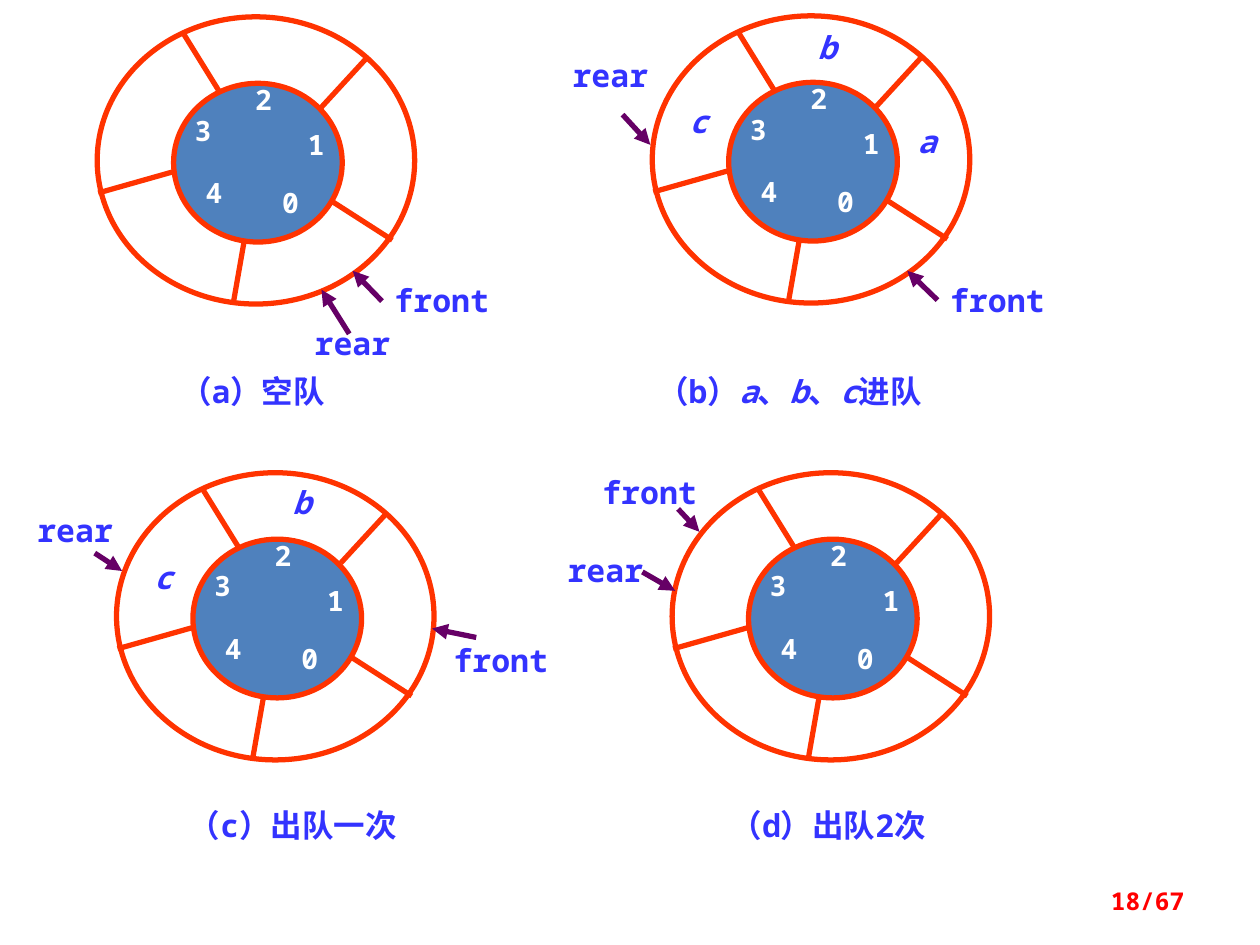
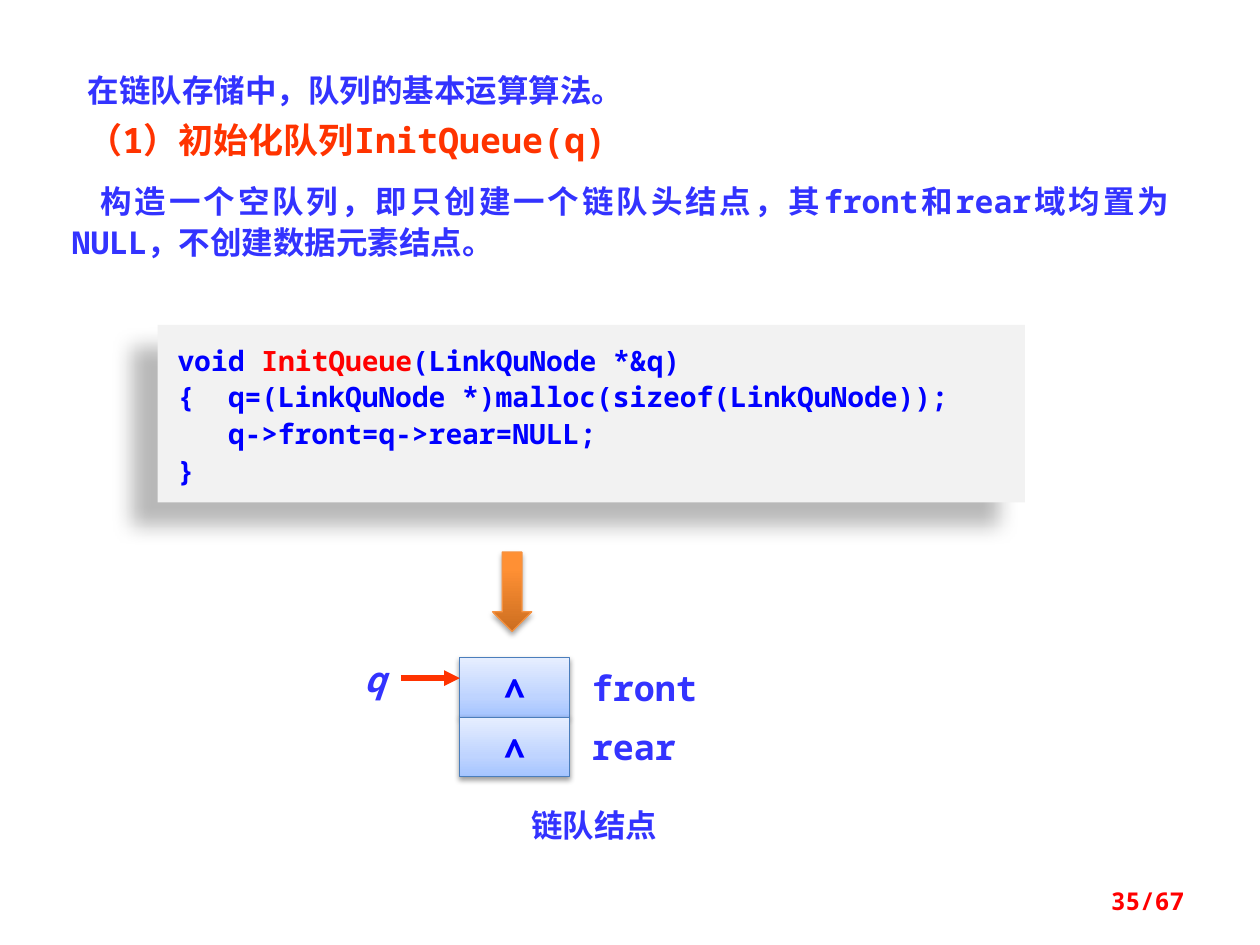
"""Build two slides on circular queues and linked-queue initialisation."""
import pptx
import pptx.dml.color
import pptx.enum.dml
import pptx.enum.shapes
import pptx.enum.text
import pptx.oxml.ns
import pptx.util
from dataclasses import dataclass
from lxml import etree

Cm, Pt = pptx.util.Cm, pptx.util.Pt
RGB = pptx.dml.color.RGBColor.from_string
qn = pptx.oxml.ns.qn
SHAPE = pptx.enum.shapes.MSO_SHAPE
ALIGN = pptx.enum.text.PP_ALIGN
ANCHOR = pptx.enum.text.MSO_ANCHOR


@dataclass(frozen=True)
class Theme:
    mono: str = "Noto Sans Mono"
    cjk: str = "Noto Sans CJK SC"
    text: str = "3333FF"
    accent: str = "FF3300"
    code: str = "0000FF"
    red: str = "FF0000"
    white: str = "FFFFFF"
    hub: str = "4F81BD"
    pointer: str = "660066"
    panel: str = "F2F2F2"
    cell_line: str = "4B7EBC"
    arrow_line: str = "F69240"
    cell_stops: tuple = ((0, "A4C4FF"), (35, "BFD4FF"), (100, "E6EEFF"))
    arrow_stops: tuple = ((0, "CC6E20"), (80, "FF9034"), (100, "FF9136"))
    large: int = 20
    normal: int = 18
    small: int = 16
    page: int = 14
    stroke: float = 3
    thin: float = 0.75


T = Theme()

WHEEL_SIZE = (6.4, 5.79)
HUB = (1.54, 1.34, 3.4, 3.2)
SPOKES = [
    (4.75, 3.73, 5.95, 4.5),
    (4.52, 1.82, 5.44, 0.82),
    (1.74, 0.34, 2.47, 1.52),
    (2.96, 4.53, 2.75, 5.73),
    (0.02, 3.55, 1.54, 3.12),
]
INDEX_SPOTS = [(3.5, 3.41), (4.02, 2.24), (2.96, 1.33), (1.74, 1.94), (1.96, 3.2)]

QUEUES = [
    dict(
        origin=(1.96, 0.34),
        caption=["（a）空队"], caption_box=(2.69, 7.37, 4.8, 1.02),
        labels=[("front", 7.9, 5.66), ("rear", 6.1, 6.53)],
        items=[],
        pointers=[(7.7, 6.07, 7.11, 5.46), (7.04, 6.73, 6.48, 5.84)],
    ),
    dict(
        origin=(13.15, 0.32),
        caption=["（b）", ("a", {"italic": True}), "、", ("b", {"italic": True}),
                 "、", ("c", {"italic": True}), "进队"],
        caption_box=(11.51, 7.37, 8.81, 1.02),
        labels=[("front", 19.1, 5.66), ("rear", 11.3, 1.12)],
        items=[("a", 18.29, 2.46), ("b", 16.28, 0.56), ("c", 13.69, 2.06)],
        pointers=[(18.9, 6.05, 18.29, 5.46), (12.55, 2.31, 13.11, 2.92)],
    ),
    dict(
        origin=(2.35, 9.53),
        caption=["（c）出队一次"], caption_box=(1.5, 16.13, 8.81, 1.02),
        labels=[("front", 9.09, 12.93), ("rear", 0.51, 10.31)],
        items=[("b", 5.69, 9.73), ("c", 2.9, 11.25)],
        pointers=[(9.6, 12.85, 8.71, 12.67), (1.91, 11.15, 2.46, 11.51)],
    ),
    dict(
        origin=(13.55, 9.53),
        caption=["（d）出队2次"], caption_box=(12.29, 16.13, 8.81, 1.02),
        labels=[("front", 12.09, 9.53), ("rear", 11.2, 11.1)],
        items=[],
        pointers=[(12.95, 11.53, 13.61, 11.91), (13.67, 10.26, 14.1, 10.72)],
    ),
]

INTRO = "在链队存储中，队列的基本运算算法。"
HEADING = "（1）初始化队列InitQueue(q)"
DESCRIPTION = "构造一个空队列，即只创建一个链队头结点，其front和rear域均置为NULL，不创建数据元素结点。"
CODE = [
    ["void ", ("InitQueue", {"color": T.red}), "(LinkQuNode *&q)"],
    ["{  q=(LinkQuNode *)malloc(sizeof(LinkQuNode));"],
    ["   q->front=q->rear=NULL;"],
    ["}"],
]
NODE_FIELDS = ["front", "rear"]
NODE_BOX = (9.27, 13.26, 2.21, 1.2)


def add_run(p, text, size, color, italic=False):
    r = p.add_run()
    r.text = text
    r.font.name, r.font.size = T.mono, Pt(size)
    r.font.bold, r.font.italic = True, italic
    r.font.color.rgb = RGB(color)
    etree.SubElement(r.font._element, qn("a:ea"), typeface=T.cjk)


def write(p, runs, size=T.normal, color=T.text, italic=False,
          align=ALIGN.CENTER, spacing=None, before=0, indent=None):
    """Fill one paragraph with runs, each a string or a (string, overrides) pair."""
    if indent is not None:
        pPr = p._p.get_or_add_pPr()
        pPr.set("marL", "0")
        pPr.set("indent", str(int(Cm(indent))))
        etree.SubElement(pPr, qn("a:buNone"))
    p.alignment = align
    p.space_before = Pt(before)
    if spacing:
        p.line_spacing = spacing
    for run in [runs] if isinstance(runs, str) else runs:
        text, changes = (run, {}) if isinstance(run, str) else run
        add_run(p, text, **{"size": size, "color": color, "italic": italic, **changes})


def place(sp, box):
    sp.left, sp.top, sp.width, sp.height = map(Cm, box)


def frame(tf, anchor=ANCHOR.TOP, margins=None, wrap=True):
    tf.auto_size = pptx.enum.text.MSO_AUTO_SIZE.NONE
    tf.word_wrap = wrap
    tf.vertical_anchor = anchor
    if margins is not None:
        tf.margin_left = tf.margin_right = Cm(margins[0])
        tf.margin_top = tf.margin_bottom = Cm(margins[1])
    return tf


def add_text(slide, box, runs, margins=None, anchor=ANCHOR.TOP, **fmt):
    tf = frame(slide.shapes.add_textbox(*map(Cm, box)).text_frame, anchor, margins)
    write(tf.paragraphs[0], runs, **fmt)
    return tf


def add_shape(slide, kind, box, fill=None, line=None, width=T.stroke):
    sp = slide.shapes.add_shape(kind, *map(Cm, box))
    sp.shadow.inherit = False
    if isinstance(fill, tuple):
        sp.fill.gradient()
        sp.fill.gradient_angle = 90
        stops = sp._element.spPr.find(".//" + qn("a:gsLst"))
        for old in list(stops):
            stops.remove(old)
        for pos, color in fill:
            gs = etree.SubElement(stops, qn("a:gs"), pos=str(pos * 1000))
            etree.SubElement(gs, qn("a:srgbClr"), val=color)
    elif fill:
        sp.fill.solid()
        sp.fill.fore_color.rgb = RGB(fill)
    else:
        sp.fill.background()
    if line:
        sp.line.color.rgb = RGB(line)
        sp.line.width = Pt(width)
    else:
        sp.line.fill.background()
    return sp


def add_shadow(sp, alpha, blur, dist, angle):
    effects = sp._element.spPr.find(qn("a:effectLst"))
    shadow = etree.SubElement(
        effects, qn("a:outerShdw"), blurRad=str(int(Pt(blur))),
        dist=str(int(Pt(dist))), dir=str(angle * 60000), rotWithShape="0")
    color = etree.SubElement(shadow, qn("a:srgbClr"), val="000000")
    etree.SubElement(color, qn("a:alpha"), val=str(alpha * 1000))


def add_line(slide, ends, color, arrow=False):
    cx = slide.shapes.add_connector(
        pptx.enum.shapes.MSO_CONNECTOR.STRAIGHT, *map(Cm, ends))
    cx.line.color.rgb = RGB(color)
    cx.line.width = Pt(T.stroke)
    if arrow:
        etree.SubElement(cx.line._get_or_add_ln(), qn("a:tailEnd"), type="triangle")
    etree.SubElement(cx._element.spPr, qn("a:effectLst"))


def add_page_number(slide, number):
    add_text(slide, (18.21, 17.65, 5.92, 1.02), f"{number}/67", size=T.page,
             color=T.red, align=ALIGN.RIGHT, anchor=ANCHOR.MIDDLE)


def draw_queue(slide, origin, caption, caption_box, labels, items, pointers):
    x, y = origin
    hub_x, hub_y, *hub_size = HUB
    add_shape(slide, SHAPE.OVAL, (x + hub_x, y + hub_y, *hub_size), T.hub, T.accent)
    add_shape(slide, SHAPE.OVAL, (x, y, *WHEEL_SIZE), line=T.accent)
    for x1, y1, x2, y2 in SPOKES:
        add_line(slide, (x + x1, y + y1, x + x2, y + y2), T.accent)
    for index, (dx, dy) in enumerate(INDEX_SPOTS):
        add_text(slide, (x + dx, y + dy, 0.79, 0.69), str(index),
                 margins=(0, 0), size=T.small, color=T.white)
    for text, left, top in labels:
        add_text(slide, (left, top, 2.01, 0.76), text, margins=(0, 0))
    for text, left, top in items:
        add_text(slide, (left, top, 0.79, 0.76), text, margins=(0, 0), italic=True)
    for ends in pointers:
        add_line(slide, ends, T.pointer, arrow=True)
    add_text(slide, caption_box, caption)


def build_circular_queues(prs):
    slide = prs.slides.add_slide(prs.slide_layouts[6])
    for queue in QUEUES:
        draw_queue(slide, **queue)
    add_page_number(slide, 18)


def build_init_queue(prs):
    slide = prs.slides.add_slide(prs.slide_layouts[1])
    title, body = slide.placeholders
    place(title, (1.19, 1.45, 22.63, 1))
    write(frame(title.text_frame).paragraphs[0], INTRO, align=ALIGN.JUSTIFY,
          spacing=0.8, indent=0.32)
    place(body, (1.19, 2.43, 22.63, 3.26))
    tf = frame(body.text_frame)
    write(tf.paragraphs[0], HEADING, size=T.large, color=T.accent,
          align=ALIGN.JUSTIFY, spacing=0.8, indent=0.32)
    write(tf.add_paragraph(), DESCRIPTION, align=ALIGN.JUSTIFY,
          spacing=1.1, before=T.large / 2, indent=0.58)

    panel = add_shape(slide, SHAPE.RECTANGLE, (3.18, 6.55, 17.48, 3.58), T.panel)
    add_shadow(panel, 28, 11.8, 19.7, 141)
    tf = frame(panel.text_frame, margins=(0.4, 0.3))
    for i, line in enumerate(CODE):
        p = tf.add_paragraph() if i else tf.paragraphs[0]
        write(p, line, size=T.small, color=T.code, align=ALIGN.LEFT, spacing=1.1)

    arrow = add_shape(slide, SHAPE.DOWN_ARROW, (9.93, 11.13, 0.79, 1.6),
                      T.arrow_stops, T.arrow_line, T.thin)
    add_shadow(arrow, 35, 3.1, 1.8, 90)

    left, top, width, height = NODE_BOX
    for i in range(len(NODE_FIELDS)):
        cell = add_shape(slide, SHAPE.RECTANGLE, (left, top + i * height, width, height),
                         T.cell_stops, T.cell_line, T.thin)
        add_shadow(cell, 38, 3.1, 1.6, 90)
        tf = frame(cell.text_frame, ANCHOR.MIDDLE, wrap=False)
        write(tf.paragraphs[0], "∧", size=T.large, color=T.code)
    first, second = NODE_FIELDS
    tf = add_text(slide, (11.68, 13.31, 3.81, 2.36), first, size=T.large, align=ALIGN.LEFT)
    write(tf.add_paragraph(), second, size=T.large, align=ALIGN.LEFT, before=T.large / 2)
    add_line(slide, (8.08, 13.67, left, 13.67), T.accent, arrow=True)
    add_text(slide, (6.96, 13.13, 1.19, 1.09), "q", size=T.large, italic=True)
    add_text(slide, (9.09, 16.13, 5.79, 1.02), "链队结点")
    add_page_number(slide, 35)


def main():
    prs = pptx.Presentation()
    prs.slide_width, prs.slide_height = Cm(25.4), Cm(19.05)
    build_circular_queues(prs)
    build_init_queue(prs)
    prs.save("out.pptx")


if __name__ == "__main__":
    main()
